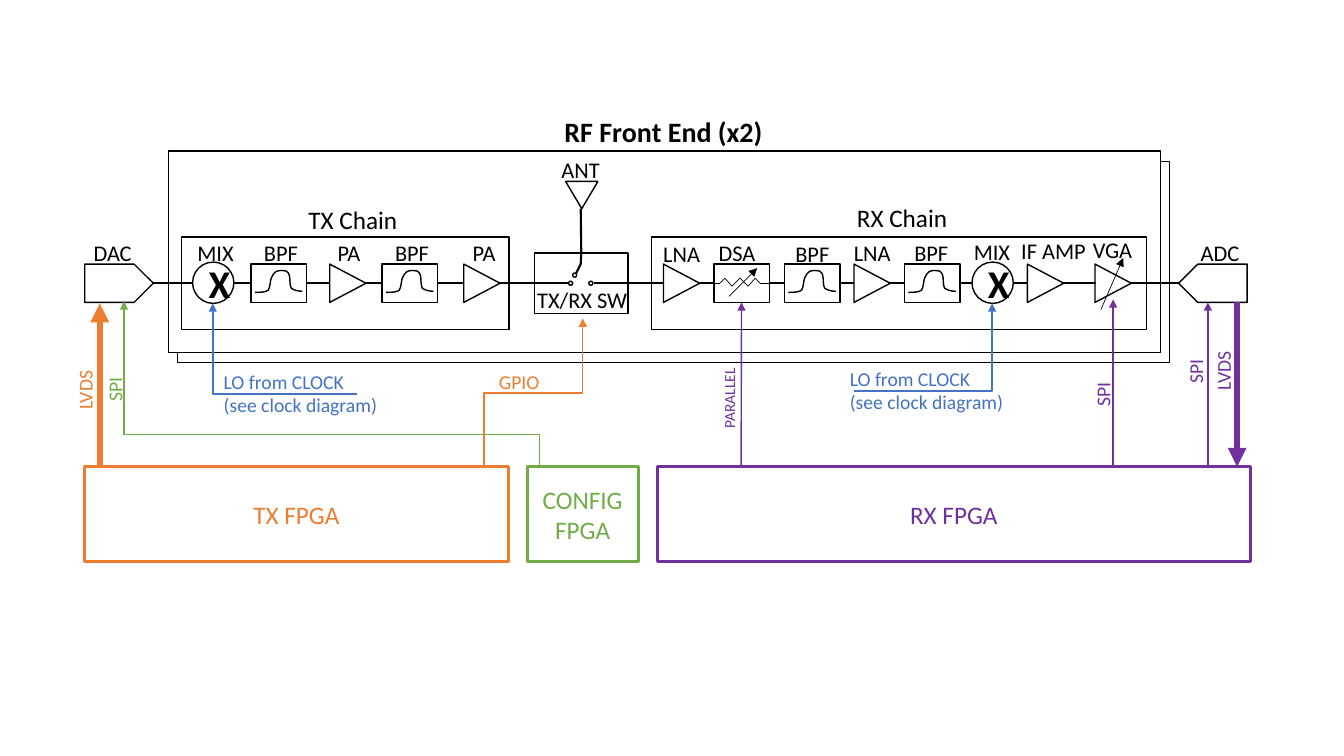
from lxml import etree
from pptx import Presentation
from pptx.dml.color import RGBColor
from pptx.enum.shapes import MSO_CONNECTOR, MSO_SHAPE
from pptx.enum.text import MSO_ANCHOR, MSO_AUTO_SIZE, PP_ALIGN
from pptx.oxml.ns import qn
from pptx.util import Inches, Pt

RECT, OVAL = MSO_SHAPE.RECTANGLE, MSO_SHAPE.OVAL
TRIANGLE, PENTAGON = MSO_SHAPE.ISOSCELES_TRIANGLE, MSO_SHAPE.PENTAGON
STRAIGHT, ELBOW = MSO_CONNECTOR.STRAIGHT, MSO_CONNECTOR.ELBOW
MIDDLE, CENTER = MSO_ANCHOR.MIDDLE, PP_ALIGN.CENTER
GROW = MSO_AUTO_SIZE.SHAPE_TO_FIT_TEXT
TOP, LEFT, BOTTOM, RIGHT = range(4)
BLACK, WHITE, BLUE = "000000", "FFFFFF", "4472C4"
ORANGE, GREEN, PURPLE = "ED7D31", "70AD47", "7030A0"
AXIS = 2.81  # height of the signal path

prs = Presentation()
prs.slide_width, prs.slide_height = Inches(13.33), Inches(7.5)
s = prs.slides.add_slide(prs.slide_layouts[6])


def add_box(kind, x, y, w, h, fill=None, color=BLACK, width=1, rotation=0):
    sp = s.shapes.add_shape(kind, Inches(x), Inches(y), Inches(w), Inches(h))
    sp.shadow.inherit = False
    sp.rotation = rotation
    if fill:
        sp.fill.solid()
        sp.fill.fore_color.rgb = RGBColor.from_string(fill)
    else:
        sp.fill.background()
    sp.line.color.rgb = RGBColor.from_string(color)
    sp.line.width = Pt(width)
    return sp


def add_line(x1, y1, x2, y2, color=BLACK, width=1.5, arrow=False, kind=STRAIGHT,
             begin=None, end=None):
    """Draw a connector; begin and end are (shape, side) pairs to join."""
    c = s.shapes.add_connector(kind, Inches(x1), Inches(y1), Inches(x2), Inches(y2))
    if begin:
        c.begin_connect(*begin)
    if end:
        c.end_connect(*end)
    c.line.color.rgb = RGBColor.from_string(color)
    c.line.width = Pt(width)
    if arrow:
        etree.SubElement(c.line._get_or_add_ln(), qn("a:tailEnd"), type="triangle")
    etree.SubElement(c._element.spPr, qn("a:effectLst"))
    return c


# Frames, chains and converters
texts = []  # (text frame, text, size, colour, bold)
for x, y in [(1.76, 1.6), (1.67, 1.5)]:
    add_box(RECT, x, y, 9.84, 2, WHITE)
tx_chain = add_box(RECT, 1.8, 2.35, 3.25, 0.92, WHITE)
rx_chain = add_box(RECT, 6.46, 2.35, 4.91, 0.92, WHITE)
dac = add_box(PENTAGON, 0.84, 2.62, 0.68, 0.38, WHITE)
adc = add_box(PENTAGON, 11.69, 2.62, 0.68, 0.38, WHITE)
adc._element.spPr.find(qn("a:xfrm")).set("flipH", "1")

# Mixers, amplifiers and filters
for x in (1.91, 9.64):
    mixer = add_box(OVAL, x, 2.6, 0.41, 0.41)
    texts.append((mixer.text_frame, "X", 28, BLACK, True))
for x in (3.26, 4.59, 6.57, 8.46, 10.18, 10.85):
    add_box(TRIANGLE, x, 2.63, 0.38, 0.36, rotation=90)

PASSBAND = [(0.04, 0.28), (0.09, 0.28), (0.14, 0.28), (0.17, 0.26),
            (0.19, 0.23), (0.19, 0.17), (0.2, 0.14), (0.22, 0.11), (0.22, 0.09), (0.24, 0.08),
            (0.26, 0.06), (0.32, 0.06), (0.35, 0.07), (0.37, 0.08), (0.37, 0.09), (0.38, 0.11),
            (0.39, 0.14), (0.38, 0.21), (0.4, 0.24), (0.43, 0.26), (0.47, 0.27), (0.51, 0.27)]
filters = []
for x in (2.49, 3.79, 7.78, 8.97):
    filters.append(add_box(RECT, x, 2.62, 0.55, 0.38))
    points = [(Inches(x + dx), Inches(2.62 + dy)) for dx, dy in PASSBAND]
    builder = s.shapes.build_freeform(*points[0])
    builder.add_line_segments(points[1:], close=False)
    curve = builder.convert_to_shape()
    curve.shadow.inherit = False
    curve.fill.background()
    curve.line.color.rgb = RGBColor.from_string(BLACK)
    curve.line.width = Pt(1)
    # Every three points after the first make one Bezier segment
    outline = next(curve._element.iter(qn("a:pathLst")))[0]
    segments = outline.findall(qn("a:lnTo"))
    for i in range(0, len(segments), 3):
        bezier = etree.SubElement(outline, qn("a:cubicBezTo"))
        for segment in segments[i:i + 3]:
            bezier.append(segment[0])
            outline.remove(segment)
bpf1, bpf2, bpf3, bpf4 = filters

# Antenna switch
switch = add_box(RECT, 5.3, 2.51, 0.93, 0.6)
for x, y in [(5.64, 2.79), (5.84, 2.79), (5.68, 2.71)]:
    add_box(OVAL, x, y, 0.04, 0.04)
add_box(TRIANGLE, 5.61, 1.8, 0.32, 0.27, rotation=180)
add_line(5.76, 2.07, 5.76, 2.51, end=(switch, TOP))
add_line(5.76, 2.51, 5.76, 2.62, begin=(switch, TOP))
add_line(5.76, 2.62, 5.71, 2.72)

# Attenuator
dsa = add_box(RECT, 7.08, 2.62, 0.55, 0.38)
zigzag = [(7.08, AXIS), (7.14, AXIS), (7.19, 2.76), (7.26, 2.84), (7.34, 2.76),
          (7.42, 2.84), (7.49, 2.76), (7.54, AXIS), (7.62, AXIS)]
for i, (a, b) in enumerate(zip(zigzag, zigzag[1:])):
    add_line(*a, *b, width=0.5, begin=(dsa, LEFT) if i == 0 else None,
             end=(dsa, RIGHT) if b == zigzag[-1] else None)
add_line(7.23, 2.94, 7.51, 2.66, width=0.5, arrow=True)
add_line(10.92, 3.07, 11.14, 2.56, width=0.5, arrow=True)

# Signal path
for x1, x2, begin, end in [
    (1.52, 1.91, (dac, RIGHT), None), (2.32, 2.49, None, (bpf1, LEFT)),
    (3.04, 3.27, (bpf1, RIGHT), None), (3.62, 3.79, None, (bpf2, LEFT)),
    (4.34, 4.6, (bpf2, RIGHT), None), (4.95, 5.05, None, (tx_chain, RIGHT)),
    (5.05, 5.3, (tx_chain, RIGHT), (switch, LEFT)), (5.3, 5.64, (switch, LEFT), None),
    (5.89, 6.23, None, (switch, RIGHT)), (6.23, 6.46, (switch, RIGHT), (rx_chain, LEFT)),
    (6.46, 6.58, (rx_chain, LEFT), None), (6.94, 7.08, None, (dsa, LEFT)),
    (7.63, 7.78, (dsa, RIGHT), (bpf3, LEFT)), (8.33, 8.47, (bpf3, RIGHT), None),
    (8.82, 8.97, None, (bpf4, LEFT)), (9.52, 9.64, (bpf4, RIGHT), None),
    (10.05, 10.19, None, None), (10.54, 10.87, None, None),
    (11.37, 11.22, (rx_chain, RIGHT), None), (11.37, 11.69, (rx_chain, RIGHT), None),
]:
    add_line(x1, AXIS, x2, AXIS, begin=begin, end=end)

# FPGAs and their links
for x, w, text, color in [(0.84, 4.2, "TX FPGA", ORANGE), (5.23, 1.1, "CONFIG\nFPGA", GREEN),
                          (6.52, 5.88, "RX FPGA", PURPLE)]:
    fpga = add_box(RECT, x, 4.63, w, 0.94, WHITE, color, 2.25)
    texts.append((fpga.text_frame, text, 18, color, False))
for x, y1, y2, color, width, end in [
    (0.99, 4.63, 3.01, ORANGE, 4.5, None), (12.27, 3, 4.63, PURPLE, 4.5, None),
    (7.35, 4.63, 3, PURPLE, 1, (dsa, BOTTOM)), (11.04, 4.63, 2.97, PURPLE, 1, None),
    (11.98, 4.63, 3, PURPLE, 1, None),
]:
    add_line(x, y1, x, y2, color, width, True, end=end)

# Elbow links: ends before rotation, rotation, preset, position of the bend
for x1, y1, x2, y2, rotation, preset, bend, color, width in [
    (2.47, 5.87, 4.11, 1.75, 270, "bentConnector3", 19400, GREEN, 1),
    (6.03, 4.39, 4.55, 3.41, 90, "bentConnector3", 50000, ORANGE, 1),
    (8.47, 3.88, 9.84, 3.01, 0, "bentConnector2", None, BLUE, 1.5),
    (2.11, 3.01, 3.54, 3.91, 180, "bentConnector2", None, BLUE, 1.5),
]:
    c = add_line(x1, y1, x2, y2, color, width, True, ELBOW)
    c._element.spPr.find(qn("a:xfrm")).set("rot", str(rotation * 60000))
    geom = c._element.spPr.find(qn("a:prstGeom"))
    geom.set("prst", preset)
    if bend:
        etree.SubElement(geom.find(qn("a:avLst")), qn("a:gd"), name="adj1", fmla=f"val {bend}")

for tf, *_ in texts:
    tf.vertical_anchor = MIDDLE
    for p in tf.paragraphs:
        p.alignment = CENTER
centred = len(texts)

# Labels
CLOCK = "LO from CLOCK\n(see clock diagram)"
for text, x, y, w, h, size, color, rotation in [
    ("RF Front End (x2)", 5.5, 1.09, 2.18, 0.44, 20, BLACK, 0),
    ("TX Chain", 2.96, 1.98, 1.09, 0.4, 18, BLACK, 0),
    ("RX Chain", 8.4, 1.96, 1.11, 0.4, 18, BLACK, 0),
    *[(text, x, y, w, 0.37, 16, BLACK, 0) for text, x, y, w in [
        ("DAC", 0.83, 2.32, 0.58), ("MIX", 1.86, 2.32, 0.56), ("BPF", 2.52, 2.32, 0.54),
        ("PA", 3.25, 2.32, 0.43), ("BPF", 3.82, 2.32, 0.54), ("PA", 4.59, 2.32, 0.43),
        ("TX/RX SW", 5.23, 2.79, 1.1), ("ANT", 5.47, 1.5, 0.59), ("LNA", 6.48, 2.33, 0.57),
        ("DSA", 7.03, 2.32, 0.57), ("BPF", 7.79, 2.33, 0.54), ("LNA", 8.37, 2.32, 0.57),
        ("BPF", 8.97, 2.32, 0.54), ("MIX", 9.56, 2.31, 0.56), ("IF AMP", 10.03, 2.3, 0.85),
        ("VGA", 10.74, 2.29, 0.6), ("ADC", 11.81, 2.32, 0.59)]],
    ("LVDS", 0.55, 3.7, 0.59, 0.34, 14, ORANGE, 270),
    ("LVDS", 11.84, 3.51, 0.59, 0.34, 14, PURPLE, 270),
    ("SPI", 0.92, 3.69, 0.44, 0.34, 14, GREEN, 270),
    ("SPI", 11.64, 3.51, 0.44, 0.34, 14, PURPLE, 270),
    ("SPI", 10.72, 3.74, 0.44, 0.34, 14, PURPLE, 270),
    ("PARALLEL", 6.83, 3.8, 0.81, 0.29, 11, PURPLE, 270),
    ("GPIO", 4.85, 3.62, 0.61, 0.34, 14, ORANGE, 0),
    (CLOCK, 2.12, 3.62, 1.74, 0.57, 14, BLUE, 0),
    (CLOCK, 8.33, 3.59, 1.74, 0.57, 14, BLUE, 0),
]:
    label = s.shapes.add_textbox(Inches(x), Inches(y), Inches(w), Inches(h))
    label.rotation = rotation
    label.text_frame.word_wrap = False
    label.text_frame.auto_size = GROW
    texts.append((label.text_frame, text, size, color, size == 20))

for i, (tf, text, size, color, bold) in enumerate(texts):
    tf.text = text
    for p in tf.paragraphs:
        if i < centred:
            p.alignment = CENTER
        for r in p.runs:
            for name, value in {"name": "Calibri", "size": Pt(size), "bold": bold}.items():
                setattr(r.font, name, value)
            r.font.color.rgb = RGBColor.from_string(color)

prs.save("out.pptx")
